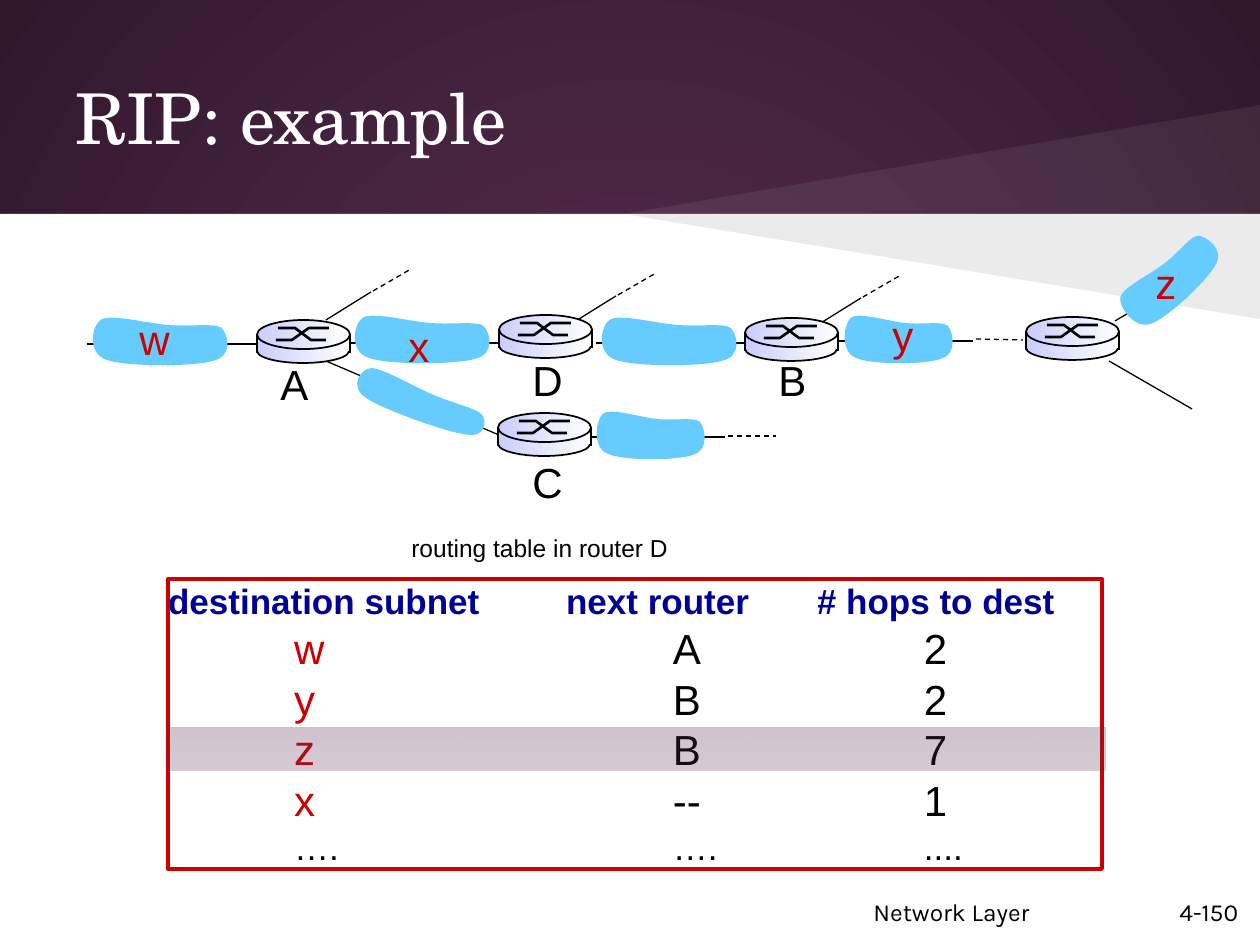
"""Build the RIP example slide: a router network and the routing table of router D."""
from dataclasses import dataclass
from typing import NamedTuple

from pptx import Presentation
from pptx import util as u
from pptx.dml.color import RGBColor
from pptx.enum import dml, shapes, text
from pptx.oxml import ns
from pptx.oxml.xmlchemy import OxmlElement

SCALE = 914400 / 126


@dataclass(frozen=True)
class Theme:
    plum: str = "592D50"
    dark_plum: str = "30182B"
    white: str = "FFFFFF"
    ink: str = "000000"
    red: str = "CC0000"
    navy: str = "000099"
    subnet: str = "66CCFF"
    router: str = "CCCCFF"
    heading_font: str = "TeX Gyre Schola"
    footer_font: str = "Karla"
    body_font: str = "Arial"
    title_size: int = 40
    body_size: int = 24
    header_size: int = 20
    small_size: int = 14


class Subnet(NamedTuple):
    x: int
    y: int
    width: int
    height: int
    rotation: float = 0


class Link(NamedTuple):
    x1: int
    y1: int
    x2: int
    y2: int
    weight: float = 0.75
    dashed: bool = False


class Label(NamedTuple):
    words: str
    x: int
    y: int
    color: str


class Column(NamedTuple):
    width: int
    indent: int


THEME = Theme()
SUBNET_START = (57, 21)
SUBNET_CURVES = [
    [(43, 19), (18, 0), (10, 10)],
    [(3, 21), (0, 74), (13, 86)],
    [(25, 100), (74, 100), (87, 88)],
    [(100, 79), (97, 38), (92, 26)],
    [(87, 17), (71, 24), (57, 21)],
]
SUBNETS = [
    Subnet(349, 312, 146, 53), Subnet(348, 383, 146, 39, 19.7),
    Subnet(87, 314, 146, 53), Subnet(596, 314, 146, 53),
    Subnet(840, 312, 117, 53), Subnet(1110, 253, 120, 53, 316.8),
    Subnet(592, 408, 117, 53),
]
LINKS = [
    Link(838, 341, 973, 341), Link(349, 343, 519, 343, 1),
    Link(596, 343, 767, 343, 1), Link(87, 344, 258, 344, 1),
    Link(1115, 321, 1198, 272), Link(1109, 361, 1192, 409),
    Link(326, 361, 499, 435), Link(590, 437, 725, 437),
    Link(976, 339, 1023, 340, dashed=True), Link(728, 436, 776, 436, dashed=True),
]
STUBS = [(816, 326), (571, 324), (326, 320)]
ROUTERS = [(499, 315), (745, 318), (1026, 317), (498, 413), (257, 320)]
LABELS = [
    Label("w", 127, 307, THEME.red), Label("x", 396, 314, THEME.red),
    Label("y", 880, 303, THEME.red), Label("z", 1143, 251, THEME.red),
    Label("A", 268, 352, THEME.ink), Label("C", 520, 450, THEME.ink),
    Label("D", 520, 348, THEME.ink), Label("B", 766, 348, THEME.ink),
]
COLUMNS = [Column(398, 126), Column(251, 107), Column(285, 107)]
ROW_HEIGHTS = [46, 50, 50, 50, 50, 44]
ROUTES = [
    ("destination subnet", "next router", "# hops to dest"),
    ("w", "A", "2"), ("y", "B", "2"), ("z", "B", "7"), ("x", "--", "1"),
    ("….", "….", "...."),
]


def px(length: float) -> int:
    """Turn pixels into EMU."""
    return round(length * SCALE)


def write(frame, words: str, *, size: int = THEME.body_size, color: str = THEME.ink,
          font: str = THEME.body_font, bold: bool = False) -> None:
    """Put one formatted, left-aligned line into a text frame."""
    frame.word_wrap = True
    paragraph = frame.paragraphs[0]
    paragraph.alignment = text.PP_ALIGN.LEFT
    run = paragraph.add_run()
    run.text = words
    run.font.name, run.font.size, run.font.bold = font, u.Pt(size), bold
    run.font.color.rgb = RGBColor.from_string(color)


def add_label(slide, words: str, x: int, y: int, width: int, height: int, **style) -> None:
    """Add a text box holding one line."""
    write(slide.shapes.add_textbox(px(x), px(y), px(width), px(height)).text_frame, words, **style)


def set_gradient(fill, start: str, end: str) -> None:
    """Make a fill a two-stop gradient."""
    fill.gradient()
    for stop, color in zip(fill.gradient_stops, (start, end)):
        stop.color.rgb = RGBColor.from_string(color)


def paint(shape, *colors: str, alphas=(), angle: int = 0, line=None, weight: float = 1) -> None:
    """Set fill, transparency and outline, and drop the shadow."""
    shape.shadow.inherit = False
    if len(colors) == 2:
        set_gradient(shape.fill, *colors)
        shape.fill.gradient_angle = angle
    elif colors:
        shape.fill.solid()
        shape.fill.fore_color.rgb = RGBColor.from_string(colors[0])
    else:
        shape.fill.background()
    for tint, alpha in zip(shape.element.spPr.iter(ns.qn("a:srgbClr")), alphas):
        opacity = OxmlElement("a:alpha")
        opacity.set("val", str(alpha * 1000))
        tint.append(opacity)
    if line:
        shape.line.color.rgb = RGBColor.from_string(line)
        shape.line.width = u.Pt(weight)
    else:
        shape.line.fill.background()


def add_preset(slide, kind, x: int, y: int, width: int, height: int, *colors: str, **style) -> None:
    """Add a painted preset shape."""
    paint(slide.shapes.add_shape(kind, px(x), px(y), px(width), px(height)), *colors, **style)


def add_outline(slide, points, *colors: str, close: bool = True, **style):
    """Add a painted straight-sided outline."""
    builder = slide.shapes.build_freeform(*points[0], scale=SCALE)
    builder.add_line_segments(points[1:], close=close)
    shape = builder.convert_to_shape()
    paint(shape, *colors, **style)
    return shape


def add_link(slide, link: Link) -> None:
    """Add a plain or dashed line."""
    line = slide.shapes.add_connector(
        shapes.MSO_CONNECTOR.STRAIGHT, px(link.x1), px(link.y1), px(link.x2), px(link.y2))
    line.line.color.rgb = RGBColor.from_string(THEME.ink)
    line.line.width = u.Pt(link.weight)
    if link.dashed:
        line.line.dash_style = dml.MSO_LINE.DASH
    line.element.spPr.append(OxmlElement("a:effectLst"))


def add_subnet(slide, subnet: Subnet) -> None:
    """Add a curved subnet blob fitted to its box."""
    x, y, width, height, rotation = subnet
    corners = [(x, y), (x + width, y), (x + width, y + height), (x, y + height)]
    blob = add_outline(slide, corners, THEME.subnet)
    blob.rotation = rotation
    outline = next(blob.element.iter(ns.qn("a:path")))
    for step in list(outline):
        outline.remove(step)
    outline.set("w", "100")
    outline.set("h", "100")
    steps = [("a:moveTo", [SUBNET_START])] + [("a:cubicBezTo", curve) for curve in SUBNET_CURVES]
    for tag, points in steps + [("a:close", [])]:
        step = OxmlElement(tag)
        for across, down in points:
            point = OxmlElement("a:pt")
            point.set("x", str(across))
            point.set("y", str(down))
            step.append(point)
        outline.append(step)


def add_router(slide, x: int, y: int) -> None:
    """Add a router drum with its crossed arrows."""
    metal = (THEME.router, THEME.white)
    oval = shapes.MSO_SHAPE.OVAL
    add_preset(slide, oval, x, y + 19, 92, 24, *metal, line=THEME.ink)
    add_preset(slide, shapes.MSO_SHAPE.RECTANGLE, x, y + 16, 93, 15, *metal)
    add_preset(slide, oval, x, y, 93, 29, *metal, line=THEME.ink)
    for xs, start, end in (((19, 35, 52, 72), 20, 8), ((21, 38, 54, 69), 8, 20)):
        bend = [(x + dx, y + dy) for dx, dy in zip(xs, (start, start, end, end))]
        add_outline(slide, bend, close=False, line=THEME.ink, weight=1.5)
    for side in (x, x + 93):
        add_link(slide, Link(side, y + 14, side, y + 33, 1))


def add_routes(slide, x: int, y: int) -> None:
    """Add the routing table with its frame and the highlighted row."""
    width, height = sum(c.width for c in COLUMNS), sum(ROW_HEIGHTS)
    table = slide.shapes.add_table(
        len(ROUTES), len(COLUMNS), px(x), px(y), px(width), px(height)).table
    table.first_row = table.horz_banding = False
    for i, (route, row_height) in enumerate(zip(ROUTES, ROW_HEIGHTS)):
        table.rows[i].height = px(row_height)
        for j, (words, column) in enumerate(zip(route, COLUMNS)):
            table.columns[j].width = px(column.width)
            cell = table.cell(i, j)
            cell.fill.background()
            cell.margin_left = px(column.indent if i else 0)
            cell.margin_right = cell.margin_top = cell.margin_bottom = 0
            cell.vertical_anchor = text.MSO_ANCHOR.MIDDLE
            edge = i in (0, len(ROUTES) - 1)
            color = THEME.navy if i == 0 else THEME.red if j == 0 and not edge else THEME.ink
            write(cell.text_frame, words, color=color, bold=i == 0,
                  size=THEME.header_size if edge else THEME.body_size)
    box = shapes.MSO_SHAPE.RECTANGLE
    add_preset(slide, box, x, y, width, height, line=THEME.red, weight=2.25)
    add_preset(slide, box, x, 728, width + 3, 43, THEME.plum, THEME.plum, alphas=(29, 25), angle=270)


def add_backdrop(slide) -> None:
    """Paint the radial background, the white panel and the two light fans."""
    set_gradient(slide.background.fill, THEME.plum, THEME.dark_plum)
    gradient = next(slide.element.iter(ns.qn("a:gradFill")))
    gradient.remove(gradient.find(ns.qn("a:lin")))
    radial, center = OxmlElement("a:path"), OxmlElement("a:fillToRect")
    radial.set("path", "circle")
    for side in "ltrb":
        center.set(side, "50000")
    radial.append(center)
    gradient.append(radial)
    add_preset(slide, shapes.MSO_SHAPE.RECTANGLE, 0, 214, 1260, 731, THEME.white)
    for tip, color, alpha in ((105, THEME.white, 7), (319, THEME.ink, 8)):
        add_outline(slide, [(1260, 214), (624, 214), (1260, tip)], color, alphas=(alpha,))


def main() -> None:
    """Build and save the slide."""
    deck = Presentation()
    deck.slide_width, deck.slide_height = px(1260), px(945)
    slide = deck.slides.add_slide(deck.slide_layouts[5])
    add_backdrop(slide)
    title = slide.shapes.title
    title.left, title.top, title.width, title.height = px(63), px(38), px(1134), px(157)
    title.text_frame.vertical_anchor = text.MSO_ANCHOR.MIDDLE
    write(title.text_frame, "RIP: example", size=THEME.title_size, color=THEME.white,
          font=THEME.heading_font)
    for words, x, width in (("Network Layer", 861, 290), ("4-150", 1167, 93)):
        add_label(slide, words, x, 891, width, 39, size=THEME.small_size, font=THEME.footer_font)
    for link in LINKS:
        add_link(slide, link)
    for x, y in STUBS:
        add_link(slide, Link(x, y, x + 45, y - 28))
        add_link(slide, Link(x + 47, y - 29, x + 85, y - 51, dashed=True))
    for subnet in SUBNETS:
        add_subnet(slide, subnet)
    for label in LABELS:
        add_label(slide, label.words, label.x, label.y, 56, 63, color=label.color)
    for x, y in ROUTERS:
        add_router(slide, x, y)
    add_label(slide, "routing table in router D", 399, 527, 354, 50, size=THEME.small_size)
    add_routes(slide, 168, 579)
    deck.save("out.pptx")


if __name__ == "__main__":
    main()
